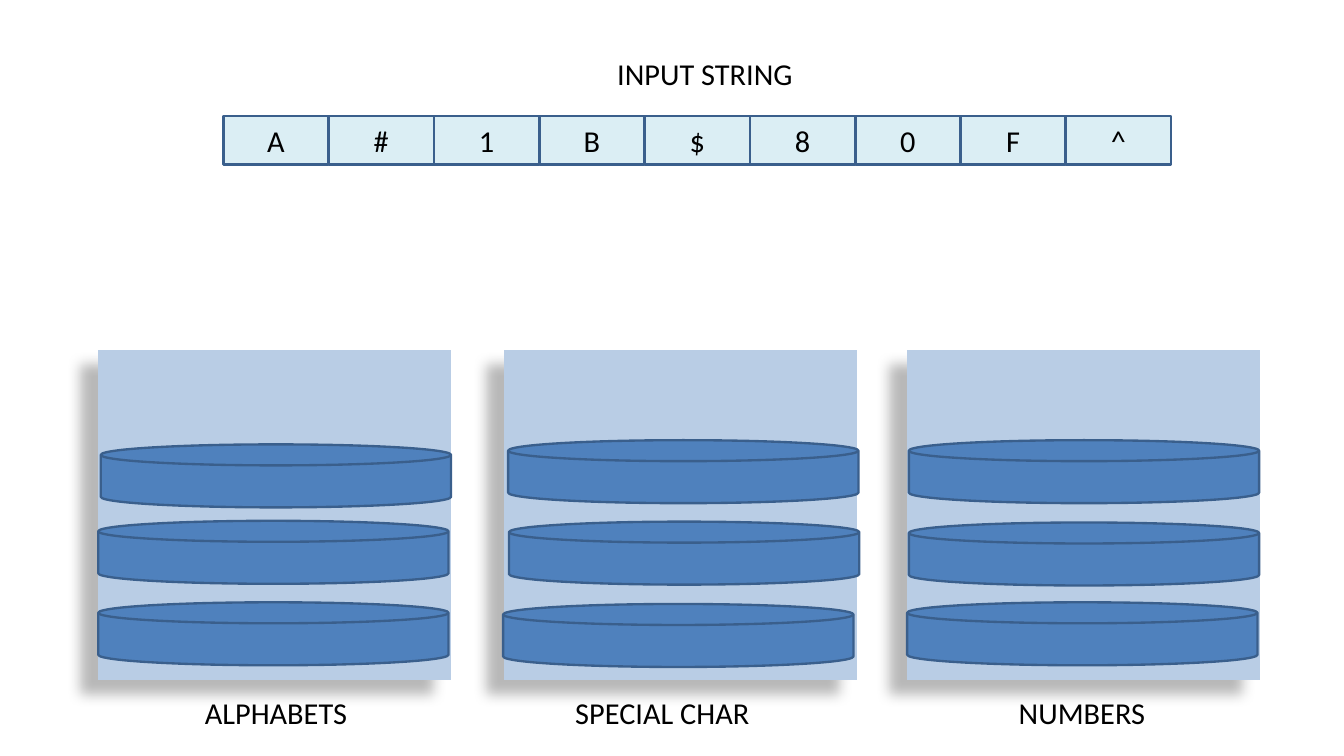
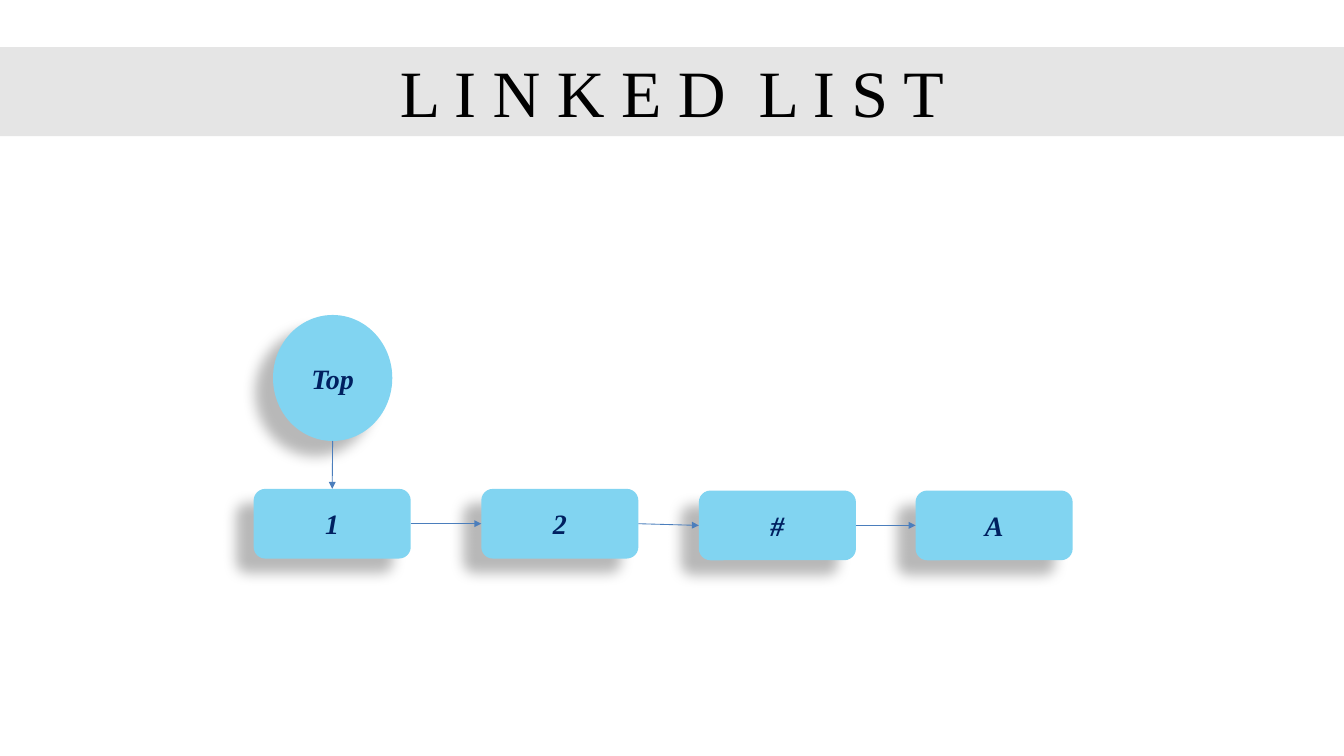
from dataclasses import dataclass

from lxml import etree
from pptx import Presentation
from pptx import util as u
from pptx.dml.color import RGBColor
from pptx.enum import shapes, text
from pptx.oxml import ns

# Slide grid: 16 columns by 9 rows
SLIDE_W, SLIDE_H = u.Inches(16), u.Inches(9)
COL, ROW = SLIDE_W / 16, SLIDE_H / 9

# Colours
BLACK = RGBColor(0x00, 0x00, 0x00)
BIN_BLUE = RGBColor(0xB9, 0xCD, 0xE5)
DISK_BLUE = RGBColor(0x4F, 0x81, 0xBD)
OUTLINE_BLUE = RGBColor(0x3A, 0x5F, 0x8C)
CELL_BLUE = RGBColor(0xDB, 0xEE, 0xF4)
NODE_BLUE = RGBColor(0x81, 0xD4, 0xF1)
ARROW_BLUE = RGBColor(0x4B, 0x7E, 0xBC)
NAVY = RGBColor(0x00, 0x20, 0x60)
BAND_GREY = RGBColor(0xA6, 0xA6, 0xA6)


@dataclass(frozen=True)
class Box:
    """A place on the grid, in columns and rows."""
    left: float
    top: float
    width: float
    height: float

    def lengths(self) -> tuple:
        return (round(self.left * COL), round(self.top * ROW),
                round(self.width * COL), round(self.height * ROW))


@dataclass(frozen=True)
class Font:
    name: str
    size: float
    color: RGBColor
    bold: bool = False
    italic: bool = False


@dataclass(frozen=True)
class Bin:
    label: str
    label_left: float
    label_width: float
    left: float
    disks: tuple  # (left, top) of each disk


LABEL_FONT = Font("Calibri", 26, BLACK)
NODE_FONT = Font("Times New Roman", 24, NAVY, bold=True, italic=True)
TITLE_FONT = Font("Times New Roman", 56.7, BLACK)

# Content of the slides
INPUT_STRING = "A#1B$80F^"
FIRST_CELL, LAST_CELL = 2.66, 12.69
BINS = (
    Bin("ALPHABETS", 2.34, 3.17, 1.17,
        ((1.2, 5.29), (1.17, 6.2), (1.17, 7.17))),
    Bin("SPECIAL CHAR", 6.75, 2.5, 6,
        ((6.05, 5.24), (6.06, 6.21), (5.99, 7.19))),
    Bin("NUMBERS", 12.03, 2.5, 10.8,
        ((10.82, 5.24), (10.82, 6.22), (10.8, 7.17))),
)
LIST_NODES = (("1", 3.02, 5.82), ("2", 5.73, 5.82),
              ("#", 8.32, 5.84), ("A", 10.9, 5.84))
TOP_SITE, LEFT_SITE, RIGHT_SITE = 0, 1, 3


# Shared drawing functions
def write(frame, words: str, font: Font, align=None) -> None:
    frame.text = words
    paragraph = frame.paragraphs[0]
    paragraph.alignment = align
    for run in paragraph.runs:
        run.font.name = font.name
        run.font.size = u.Pt(font.size)
        run.font.color.rgb = font.color
        run.font.bold = font.bold
        run.font.italic = font.italic


def cast_shadow(shape) -> None:
    effects = shape.element.spPr.find(ns.qn("a:effectLst"))
    shadow = etree.SubElement(
        effects, ns.qn("a:outerShdw"), blurRad=str(u.Pt(11.8)),
        dist=str(u.Pt(19.7)), dir=str(141 * 60000), algn="tr",
        rotWithShape="0")
    color = etree.SubElement(shadow, ns.qn("a:srgbClr"), val=str(BLACK))
    etree.SubElement(color, ns.qn("a:alpha"), val="28000")


def add_block(slide, preset, box: Box, fill: RGBColor, words: str = "",
              font: Font = LABEL_FONT, outlined: bool = False,
              shadowed: bool = False):
    block = slide.shapes.add_shape(preset, *box.lengths())
    block.fill.solid()
    block.fill.fore_color.rgb = fill
    if outlined:
        block.line.color.rgb = OUTLINE_BLUE
        block.line.width = u.Pt(2)
    else:
        block.line.fill.background()
    block.shadow.inherit = False
    if shadowed:
        cast_shadow(block)
    if words:
        block.text_frame.vertical_anchor = text.MSO_ANCHOR.MIDDLE
        write(block.text_frame, words, font, text.PP_ALIGN.CENTER)
    return block


def add_label(slide, words: str, box: Box) -> None:
    label = slide.shapes.add_textbox(*box.lengths())
    label.text_frame.word_wrap = True
    label.text_frame.auto_size = text.MSO_AUTO_SIZE.SHAPE_TO_FIT_TEXT
    write(label.text_frame, words, LABEL_FONT)


def add_arrow(slide, start: tuple, node, site: int):
    arrow = slide.shapes.add_connector(
        shapes.MSO_CONNECTOR.STRAIGHT, *start, *start)
    arrow.end_connect(node, site)
    arrow.line.color.rgb = ARROW_BLUE
    arrow.line.width = u.Pt(0.75)
    properties = arrow.element.spPr
    etree.SubElement(properties.find(ns.qn("a:ln")), ns.qn("a:tailEnd"),
                     type="triangle")
    etree.SubElement(properties, ns.qn("a:effectLst"))
    return arrow


def add_title_band(slide, words: str) -> None:
    band = slide.shapes.title
    band.left, band.top, band.width, band.height = Box(
        0, 0.56, 16, 1.06).lengths()
    band.fill.solid()
    band.fill.fore_color.rgb = BAND_GREY
    color = band.element.spPr.find(".//" + ns.qn("a:srgbClr"))
    etree.SubElement(color, ns.qn("a:alpha"), val="29000")
    frame = band.text_frame
    frame.auto_size = text.MSO_AUTO_SIZE.NONE
    frame.vertical_anchor = text.MSO_ANCHOR.MIDDLE
    frame.margin_left = frame.margin_right = u.Inches(0.14)
    frame.margin_top = frame.margin_bottom = u.Inches(0.07)
    write(frame, words, TITLE_FONT, text.PP_ALIGN.CENTER)


# Slide 1: the input string and its three bins
def build_sorting(deck) -> None:
    slide = deck.slides.add_slide(deck.slide_layouts.get_by_name("Blank"))
    preset = shapes.MSO_SHAPE
    for sort_bin in BINS:
        add_block(slide, preset.FLOWCHART_PROCESS,
                  Box(sort_bin.left, 4.17, 4.2, 3.92), BIN_BLUE,
                  shadowed=True)
        for left, top in sort_bin.disks:
            add_block(slide, preset.FLOWCHART_MAGNETIC_DISK,
                      Box(left, top, 4.17, 0.75), DISK_BLUE, outlined=True)
        add_label(slide, sort_bin.label,
                  Box(sort_bin.label_left, 8.22, sort_bin.label_width, 0.54))

    pitch = (LAST_CELL - FIRST_CELL) / (len(INPUT_STRING) - 1)
    for index, character in enumerate(INPUT_STRING):
        add_block(slide, preset.FLOWCHART_PROCESS,
                  Box(FIRST_CELL + index * pitch, 1.38, 1.25, 0.58),
                  CELL_BLUE, character, outlined=True)
    add_label(slide, "INPUT STRING", Box(7.25, 0.61, 2.5, 0.54))


# Slide 2: the linked list
def build_linked_list(deck) -> None:
    slide = deck.slides.add_slide(
        deck.slide_layouts.get_by_name("Title Only"))
    add_title_band(slide, "L I N K E D  L I S T")

    top = add_block(slide, shapes.MSO_SHAPE.OVAL, Box(3.25, 3.75, 1.42, 1.5),
                    NODE_BLUE, "Top", NODE_FONT, shadowed=True)
    nodes = [add_block(slide, shapes.MSO_SHAPE.ROUNDED_RECTANGLE,
                       Box(left, row, 1.87, 0.83), NODE_BLUE, value,
                       NODE_FONT, shadowed=True)
             for value, left, row in LIST_NODES]

    add_arrow(slide, (top.left + top.width // 2, top.top + top.height),
              nodes[0], TOP_SITE)
    for node, following in zip(nodes, nodes[1:]):
        start = (node.left + node.width, node.top + node.height // 2)
        arrow = add_arrow(slide, start, following, LEFT_SITE)
        arrow.begin_connect(node, RIGHT_SITE)


def main() -> None:
    deck = Presentation()
    deck.slide_width, deck.slide_height = SLIDE_W, SLIDE_H
    build_sorting(deck)
    build_linked_list(deck)
    deck.save("out.pptx")


if __name__ == "__main__":
    main()
